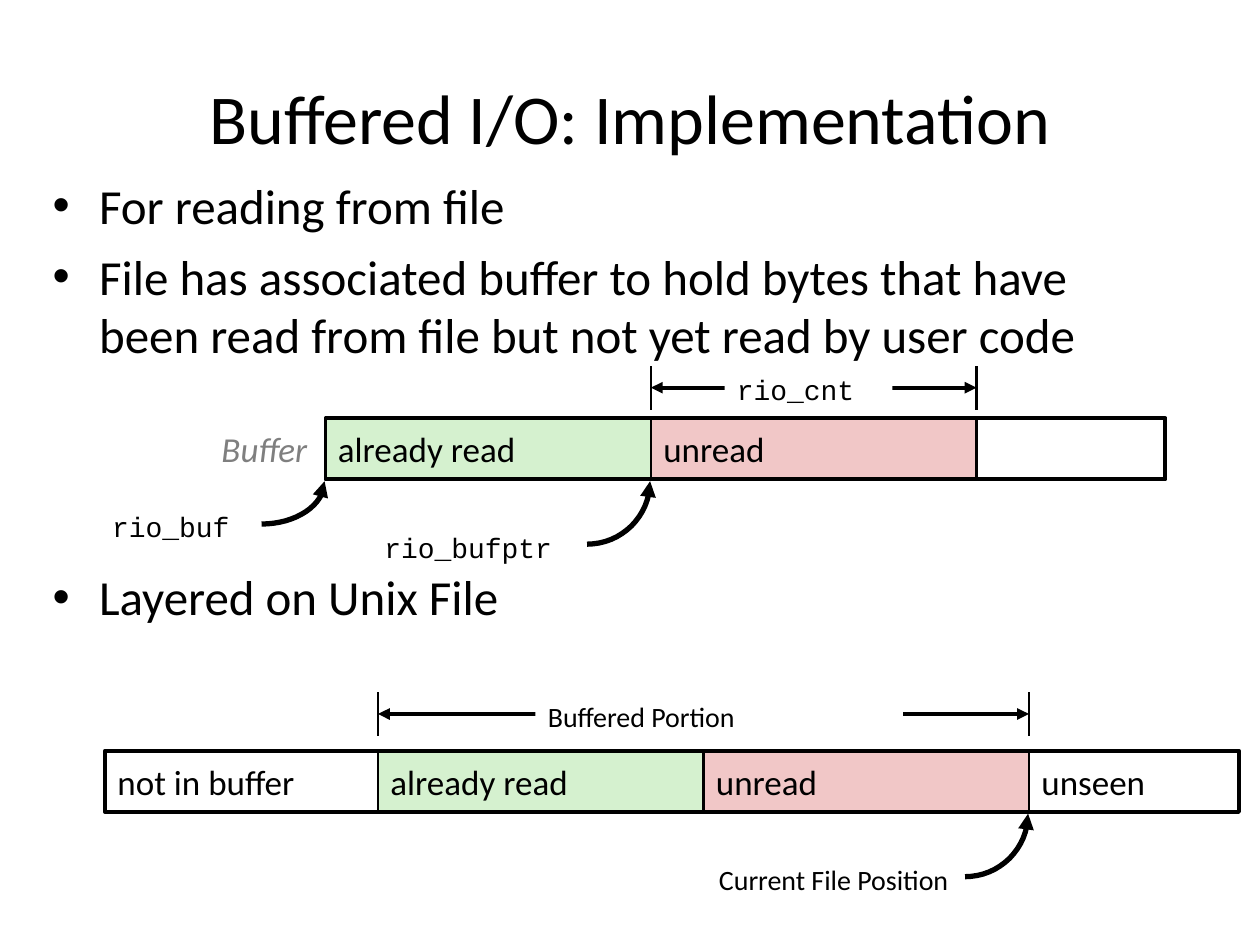
"""Build the slide on how buffered I/O is implemented."""
from math import cos, pi, sin

from pptx import Presentation
from pptx.dml.color import RGBColor
from pptx.enum.shapes import MSO_CONNECTOR, MSO_SHAPE
from pptx.enum.text import MSO_ANCHOR, PP_ALIGN
from pptx.oxml.ns import qn
from pptx.util import Pt

RECTANGLE = MSO_SHAPE.RECTANGLE
STRAIGHT = MSO_CONNECTOR.STRAIGHT
TOP, MIDDLE = MSO_ANCHOR.TOP, MSO_ANCHOR.MIDDLE
LEFT, CENTER, RIGHT = PP_ALIGN.LEFT, PP_ALIGN.CENTER, PP_ALIGN.RIGHT

TITLE = ("Buffered I/O: Implementation", (36, 21.6, 648, 90))
BULLETS = [
    ("For reading from file", 7),
    ("File has associated buffer to hold bytes that have been read from file "
     "but not yet read by user code", 7),
    ("Layered on Unix File", 116),
]
BULLETS_BOX = (23, 96.5, 654.5, 311.8)
STRIPS = [
    {
        "left": 186, "top": 239,
        "segments": [("already read", 186, "read"), ("unread", 186, "unread"),
                     ("", 108, None)],
        "bracket": {"first": 1, "last": 2, "top": 209,
                    "label": ("rio_cnt", "code", 414, 96)},
        "pointers": [(0, 36, 24.5), (1, 36, 36)],
    },
    {
        "left": 60, "top": 429,
        "segments": [("not in buffer", 156, "paper"), ("already read", 186, "read"),
                     ("unread", 186, "unread"), ("unseen", 120, "paper")],
        "bracket": {"first": 1, "last": 3, "top": 395.5,
                    "label": ("Buffered Portion", "small", 306, 210)},
        "pointers": [(3, 36, 36)],
    },
]
LABELS = [
    ("Buffer", "aside", LEFT, (119.5, 240.5, 66, 31.5)),
    ("rio_buf", "code", LEFT, (57, 287.5, 82, 27)),
    ("rio_bufptr", "code", LEFT, (212.5, 299.5, 126, 27)),
    ("Current File Position", "small", RIGHT, (345, 489.5, 204, 27)),
]
THEME = {
    "colors": {name: RGBColor.from_string(value) for name, value in {
        "ink": "000000", "muted": "7F7F7F", "paper": "FFFFFF",
        "read": "D5F1CF", "unread": "F1C7C7"}.items()},
    "fonts": {
        "title": {"name": "Calibri", "size": Pt(40)},
        "bullet": {"name": "Calibri", "size": Pt(28)},
        "segment": {"name": "Calibri", "size": Pt(20)},
        "aside": {"name": "Calibri", "size": Pt(20), "italic": True},
        "small": {"name": "Calibri", "size": Pt(16)},
        "code": {"name": "Courier New", "size": Pt(16)},
    },
    "thin": 1.5, "medium": 2.25, "thick": 3,
}
COLORS = THEME["colors"]
SEGMENT_HEIGHT, TICK_HEIGHT, LABEL_HEIGHT = 35, 25, 27
HANGING, POINTER_GAP, CURVE_STEPS = 26.6, 1, 16


def apply(target, values):
    for attribute, value in values.items():
        setattr(target, attribute, value)


def write(paragraph, words, style):
    run = paragraph.add_run()
    run.text = words
    apply(run.font, THEME["fonts"][style])
    run.font.color.rgb = COLORS["muted" if style == "aside" else "ink"]


def fill_frame(shape, words, style, align=LEFT, anchor=TOP):
    apply(shape.text_frame, {"word_wrap": True, "vertical_anchor": anchor})
    paragraph = shape.text_frame.paragraphs[0]
    paragraph.alignment = align
    write(paragraph, words, style)


def draw_line(shape, weight, ends=()):
    shape.line.color.rgb = COLORS["ink"]
    shape.line.width = Pt(THEME[weight])
    outline = shape._element.spPr.find(qn("a:ln"))
    for end in ends:
        tip = outline.makeelement(qn(f"a:{end}"), {"type": "triangle"})
        outline.append(tip)


def add_text(slide, words, style, box, align=LEFT, anchor=TOP):
    label = slide.shapes.add_textbox(*map(Pt, box))
    fill_frame(label, words, style, align, anchor)


def add_box(slide, box, fill=None, weight=None):
    shape = slide.shapes.add_shape(RECTANGLE, *map(Pt, box))
    shape.shadow.inherit = False
    if fill:
        shape.fill.solid()
        shape.fill.fore_color.rgb = COLORS[fill]
    else:
        shape.fill.background()
    if weight:
        draw_line(shape, weight)
    else:
        shape.line.fill.background()
    return shape


def add_straight(slide, ends, weight, tips=()):
    connector = slide.shapes.add_connector(STRAIGHT, *map(Pt, ends))
    draw_line(connector, weight, tips)
    properties = connector._element.spPr
    properties.append(properties.makeelement(qn("a:effectLst"), {}))


def add_pointer(slide, x, y, width, height):
    angles = [step * pi / 2 / CURVE_STEPS for step in range(CURVE_STEPS + 1)]
    points = [(Pt(x - width + width * cos(a)), Pt(y + height * sin(a))) for a in angles]
    builder = slide.shapes.build_freeform(*points[0])
    builder.add_line_segments(points[1:], close=False)
    pointer = builder.convert_to_shape()
    pointer.shadow.inherit = False
    pointer.fill.background()
    draw_line(pointer, "thick", ["headEnd"])


def add_bracket(slide, start, end, top, label):
    for x in (start, end):
        add_straight(slide, (x, top + TICK_HEIGHT, x, top), "thin")
    middle = top + TICK_HEIGHT / 2
    add_straight(slide, (start, middle, end, middle), "medium", ["headEnd", "tailEnd"])
    words, style, left, width = label
    cover = add_box(slide, (left, top + 0.5, width, LABEL_HEIGHT), "paper")
    fill_frame(cover, words, style)


def add_strip(slide, strip):
    top, edges = strip["top"], [strip["left"]]
    for words, width, fill in strip["segments"]:
        if words:
            box = (edges[-1], top, width, SEGMENT_HEIGHT)
            segment = add_box(slide, box, fill, "thin")
            fill_frame(segment, words, "segment", anchor=MIDDLE)
        edges.append(edges[-1] + width)
    add_box(slide, (edges[0], top, edges[-1] - edges[0], SEGMENT_HEIGHT), weight="medium")
    bracket = strip["bracket"]
    add_bracket(slide, edges[bracket["first"]], edges[bracket["last"]],
                bracket["top"], bracket["label"])
    for edge, width, height in strip["pointers"]:
        add_pointer(slide, edges[edge] - 0.5, top + SEGMENT_HEIGHT + POINTER_GAP, width, height)


def add_bullets(slide):
    frame = slide.shapes.add_textbox(*map(Pt, BULLETS_BOX)).text_frame
    apply(frame, {"word_wrap": True, "margin_right": Pt(28)})
    for index, (words, gap) in enumerate(BULLETS):
        paragraph = frame.add_paragraph() if index else frame.paragraphs[0]
        paragraph.space_before = Pt(gap)
        write(paragraph, words, "bullet")
        properties = paragraph._p.get_or_add_pPr()
        properties.set("marL", str(Pt(HANGING)))
        properties.set("indent", str(-Pt(HANGING)))
        for tag, values in (("a:buFont", {"typeface": "Arial"}), ("a:buChar", {"char": "•"})):
            properties.append(properties.makeelement(qn(tag), values))


def main():
    deck = Presentation()
    apply(deck, {"slide_width": Pt(720), "slide_height": Pt(540)})
    slide = deck.slides.add_slide(deck.slide_layouts[6])
    words, box = TITLE
    add_text(slide, words, "title", box, CENTER, MIDDLE)
    add_bullets(slide)
    for strip in STRIPS:
        add_strip(slide, strip)
    for words, style, align, box in LABELS:
        add_text(slide, words, style, box, align)
    deck.save("out.pptx")


if __name__ == "__main__":
    main()
